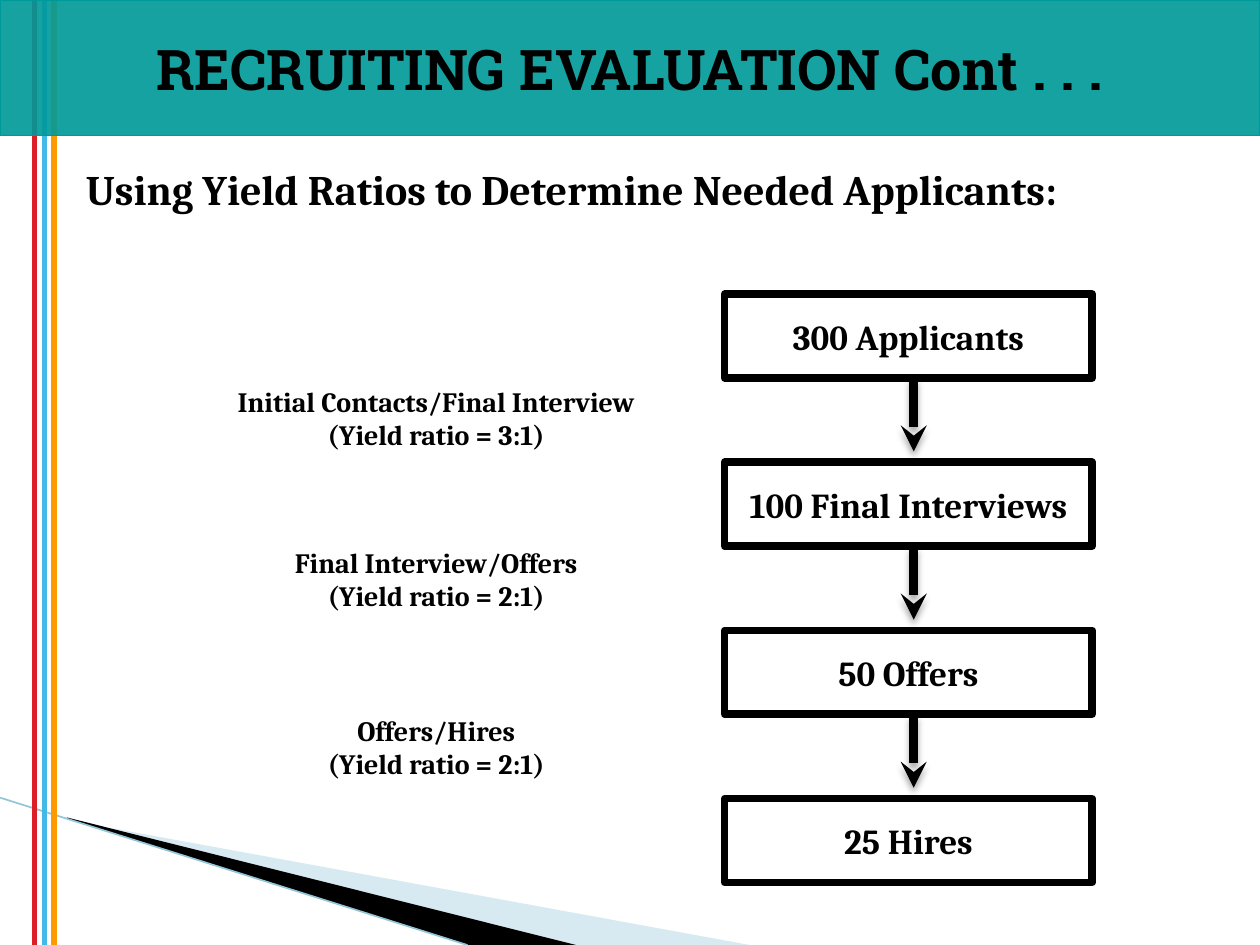
from dataclasses import dataclass

from lxml import etree
from pptx import Presentation
from pptx.dml.color import RGBColor
from pptx.enum.shapes import MSO_CONNECTOR, MSO_SHAPE
from pptx.enum.text import MSO_ANCHOR, PP_ALIGN
from pptx.oxml.ns import qn
from pptx.util import Cm, Pt

STRAIGHT = MSO_CONNECTOR.STRAIGHT
RECT = MSO_SHAPE.RECTANGLE
LEFT, CENTER = PP_ALIGN.LEFT, PP_ALIGN.CENTER
TOP, MIDDLE = MSO_ANCHOR.TOP, MSO_ANCHOR.MIDDLE
BLACK, WHITE, TEAL = "000000", "FFFFFF", "009999"
SLIDE_W, SLIDE_H = 25.4, 19.05
BOX_LEFT, BOX_TOP, BOX_W, BOX_H, BOX_STEP = 14.61, 5.93, 7.41, 1.69, 3.39
ARROW_X, ARROW_LEN = 18.42, 1.48


@dataclass
class Stripe:
    x: float
    color: str


@dataclass
class Wedge:
    points: list[tuple[float, float]]
    color: str
    opacity: int


@dataclass
class Ratio:
    top: float
    stages: str
    value: str


STRIPES = [Stripe(0.69, "DA1F28"), Stripe(1.09, "FF9900"), Stripe(0.89, "44B9E8")]
WEDGES = [
    Wedge([(1.4, 16.54), (15.11, 19.05), (11.58, 19.05), (1.4, 16.51)], "9CCADC", 40),
    Wedge([(1.35, 16.48), (11.61, 19.05), (9.45, 19.05), (1.37, 16.51)], BLACK, 100),
]
STAGES = ["300 Applicants", "100 Final Interviews", "50 Offers", "25 Hires"]
RATIOS = [
    Ratio(7.62, "Initial Contacts/Final Interview", "3:1"),
    Ratio(10.87, "Final Interview/Offers", "2:1"),
    Ratio(14.25, "Offers/Hires", "2:1"),
]

prs = Presentation()
prs.slide_width, prs.slide_height = Cm(SLIDE_W), Cm(SLIDE_H)
s = prs.slides.add_slide(prs.slide_layouts[6])


def rgb(color: str) -> RGBColor:
    return RGBColor.from_string(color)


def set_fill(sp, color: str, opacity: int = 100) -> None:
    sp.fill.solid()
    sp.fill.fore_color.rgb = rgb(color)
    if opacity < 100:
        clr = sp.fill._xPr.find(qn("a:solidFill"))[0]
        etree.SubElement(clr, qn("a:alpha"), val=str(opacity * 1000))


def set_text(sp, text: str, *, size: float, font: str = "Cambria",
             align=CENTER, anchor=TOP) -> None:
    tf = sp.text_frame
    tf.word_wrap = True
    tf.vertical_anchor = anchor
    for i, line in enumerate(text.split("\n")):
        p = tf.add_paragraph() if i else tf.paragraphs[0]
        p.alignment = align
        r = p.add_run()
        r.text = line
        r.font.size, r.font.name, r.font.bold = Pt(size), font, True
        r.font.color.rgb = rgb(BLACK)


def add_text(x: float, y: float, w: float, h: float, text: str, **fmt) -> None:
    set_text(s.shapes.add_textbox(Cm(x), Cm(y), Cm(w), Cm(h)), text, **fmt)


def add_box(x: float, y: float, w: float, h: float, text: str, *, fill: str,
            line: str, width: float, opacity: int = 100, **fmt) -> None:
    sp = s.shapes.add_shape(RECT, Cm(x), Cm(y), Cm(w), Cm(h))
    sp.shadow.inherit = False
    set_fill(sp, fill, opacity)
    sp.line.color.rgb, sp.line.width = rgb(line), Pt(width)
    etree.SubElement(sp.line._get_or_add_ln(), qn("a:round"))
    set_text(sp, text, anchor=MIDDLE, **fmt)


def add_line(x1: float, y1: float, x2: float, y2: float, color: str,
             width: float, arrow: bool = False) -> None:
    sp = s.shapes.add_connector(STRAIGHT, Cm(x1), Cm(y1), Cm(x2), Cm(y2))
    sp.line.color.rgb, sp.line.width = rgb(color), Pt(width)
    effects = etree.SubElement(sp._element.spPr, qn("a:effectLst"))
    if arrow:
        etree.SubElement(sp.line._get_or_add_ln(), qn("a:tailEnd"), type="stealth")
        shadow = etree.SubElement(effects, qn("a:outerShdw"), blurRad=str(Pt(4)),
                                  dist=str(Pt(3)), dir="5400000", rotWithShape="0")
        clr = etree.SubElement(shadow, qn("a:srgbClr"), val=BLACK)
        etree.SubElement(clr, qn("a:alpha"), val="35000")


# Corner wedges
for wedge in WEDGES:
    start, *rest = [(Cm(x), Cm(y)) for x, y in wedge.points]
    builder = s.shapes.build_freeform(*start)
    builder.add_line_segments(rest, close=True)
    sp = builder.convert_to_shape()
    sp.shadow.inherit = False
    set_fill(sp, wedge.color, wedge.opacity)
    sp.line.fill.background()
add_line(0, 16.08, 9.42, SLIDE_H, "93C5D8", 0.95)

# Vertical stripes and title band
for stripe in STRIPES:
    add_line(stripe.x, 0, stripe.x, SLIDE_H, stripe.color, 3)
add_box(0, 0, SLIDE_W, 2.74, "RECRUITING EVALUATION Cont . . .", fill=TEAL,
        line=TEAL, width=0.75, opacity=91, size=32, font="Roboto Slab")

# Stage boxes
for i, stage in enumerate(STAGES):
    add_box(BOX_LEFT, BOX_TOP + i * BOX_STEP, BOX_W, BOX_H, stage,
            fill=WHITE, line=BLACK, width=4.33, size=20)

# Yield ratios and the arrows between stages
for i, ratio in enumerate(RATIOS):
    add_text(4.45, ratio.top, 8.69, 1.63,
             f"{ratio.stages}\n(Yield ratio = {ratio.value})", size=16)
    y = BOX_TOP + BOX_H + i * BOX_STEP
    add_line(ARROW_X, y, ARROW_X, y + ARROW_LEN, BLACK, 5, arrow=True)

# Subtitle
add_text(1.48, 3.18, 21.16, 1.27,
         "Using Yield Ratios to Determine Needed Applicants:", size=24, align=LEFT)

prs.save("out.pptx")
